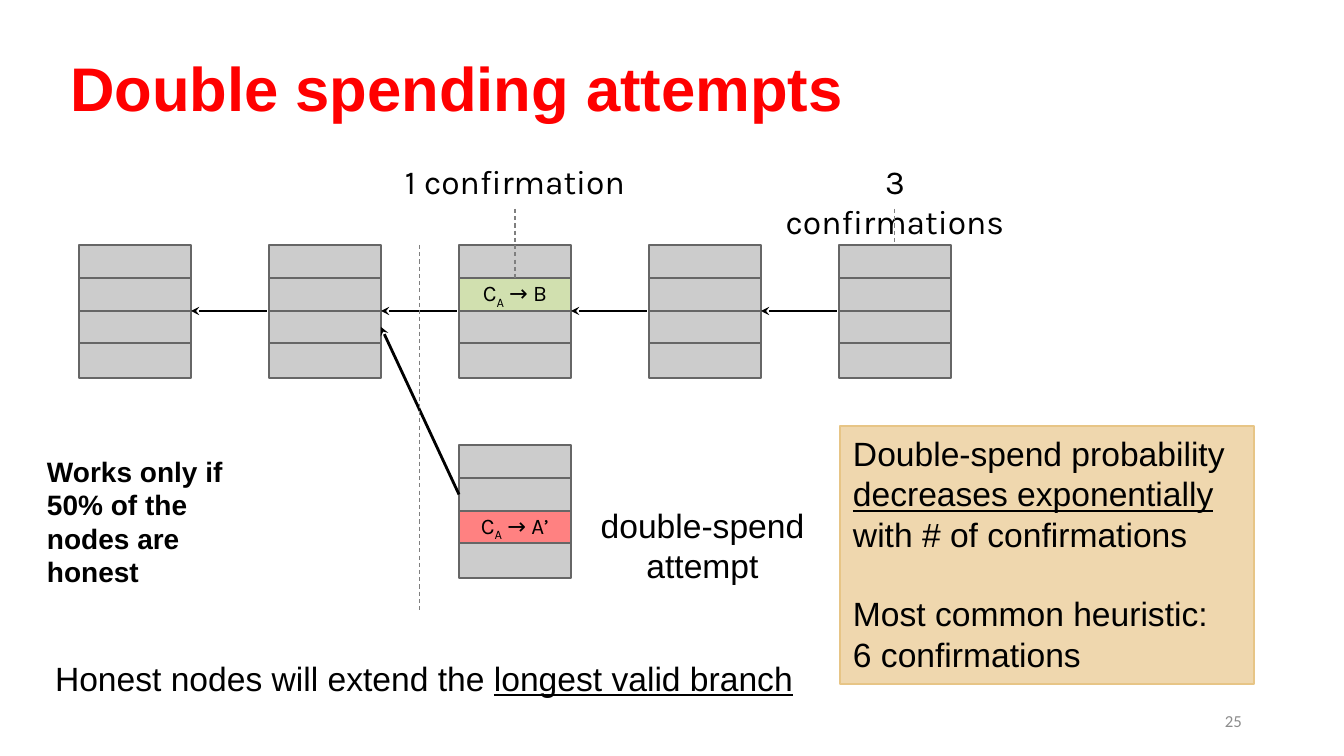
from itertools import accumulate

from lxml.etree import SubElement
from pptx import Presentation
from pptx.dml.color import RGBColor
from pptx.enum.dml import MSO_LINE
from pptx.enum.shapes import MSO_CONNECTOR, MSO_SHAPE
from pptx.enum.text import MSO_ANCHOR as Anchor, PP_ALIGN as Align
from pptx.oxml.ns import qn
from pptx.util import Pt

PX = 9071.43  # EMU per px, 100.8 px to the inch

COLORS = {
    "title": "FF0000", "text": "000000", "number": "8C8C8C",
    "cell": "CCCCCC", "cell_line": "666666", "spent": "D1E0AF", "attack": "FF8181",
    "panel": "EFD7AE", "panel_line": "E7C586", "arrow": "000000", "guide": "7F7F7F",
}

# Content: a paragraph is a list of (text, style) spans
TITLE = [[("Double spending attempts", "")]]
TO_B = [[("C", ""), ("A", "sub"), (" → B", "")]]
TO_A = [[("C", ""), ("A", "sub"), (" → A’", "")]]
ONE = [[("1 confirmation", "")]]
THREE = [[("3 confirmations", "")]]
ATTEMPT = [[("double-spend\nattempt", "")]]
PANEL = [
    [("Double-spend probability ", ""), ("decreases exponentially", "underline"),
     (" with # of confirmations", "")],
    [("Most common heuristic:\n6 confirmations", "")],
]
BRANCH = [[("Honest nodes will extend the ", ""), ("longest valid branch", "underline")]]
HONEST = [[("Works only if 50% of the nodes are honest", "")]]
NUMBER = [[("25", "")]]

# Block layout
CHAIN_LEFT, CHAIN_TOP, CHAIN_PITCH, CHAIN_COUNT = 79, 245, 190, 5
BLOCK_WIDTH, ROW_HEIGHTS = 112, (33, 33, 32, 35)
FORK_TOP = 445
LABEL_TOP, LABEL_HEIGHT = 154, 55


def emu(*lengths):
    return [round(length * PX) for length in lengths]


def color(name):
    return RGBColor.from_string(COLORS[name])


def write(shape, paragraphs, size=24, font="Arial", fill="text", bold=False,
          align=Align.LEFT, anchor=Anchor.TOP, inset=(13, 7), gap=0, spacing=None):
    frame = shape.text_frame
    frame.word_wrap = True
    frame.vertical_anchor = anchor
    frame.margin_left = frame.margin_right = emu(inset[0])[0]
    frame.margin_top = frame.margin_bottom = emu(inset[1])[0]
    for index, spans in enumerate(paragraphs):
        para = frame.add_paragraph() if index else frame.paragraphs[0]
        para.alignment = align
        para.space_before = Pt(gap if index else 0)
        if spacing:
            para.line_spacing = spacing
        for text, style in spans:
            for number, line in enumerate(text.split("\n")):
                if number:
                    para.add_line_break()
                span = para.add_run()
                span.text = line
                span.font.name, span.font.size, span.font.bold = font, Pt(size), bold
                span.font.color.rgb = color(fill)
                if style == "underline":
                    span.font.underline = True
                if style == "sub":
                    span._r.get_or_add_rPr().set("baseline", "-25000")


def add_text(page, bounds, paragraphs, **options):
    box = page.shapes.add_textbox(*emu(*bounds))
    write(box, paragraphs, **options)
    return box


def add_rect(shapes, bounds, fill, line):
    rect = shapes.add_shape(MSO_SHAPE.RECTANGLE, *emu(*bounds))
    rect.shadow.inherit = False
    rect.fill.solid()
    rect.fill.fore_color.rgb = color(fill)
    rect.line.color.rgb = color(line)
    rect.line.width = Pt(1.5)
    return rect


def add_block(page, left, top, marks=None):
    """Stack four cells; marks maps a row to its fill and text."""
    marks = marks or {}
    group = page.shapes.add_group_shape()
    offsets = accumulate(ROW_HEIGHTS, initial=0)
    cells = []
    for row, (offset, height) in enumerate(zip(offsets, ROW_HEIGHTS)):
        fill, paragraphs = marks.get(row, ("cell", None))
        cell = add_rect(group.shapes, (left, top + offset, BLOCK_WIDTH, height),
                        fill, "cell_line")
        if paragraphs:
            write(cell, paragraphs, size=16, font="Karla", align=Align.CENTER,
                  anchor=Anchor.MIDDLE, inset=(13, 13))
        cells.append(cell)
    return cells


def add_line(page, ends=(0, 0, 0, 0), start=None, stop=None, arrow=False):
    """Draw an arrow or a dashed guide; start and stop are (shape, site)."""
    line = page.shapes.add_connector(MSO_CONNECTOR.STRAIGHT, *emu(*ends))
    if start:
        line.begin_connect(*start)
    if stop:
        line.end_connect(*stop)
    line.line.color.rgb = color("arrow" if arrow else "guide")
    line.line.width = Pt(2 if arrow else 0.75)
    if arrow:
        SubElement(line.line._get_or_add_ln(), qn("a:tailEnd"), type="stealth")
    else:
        line.line.dash_style = MSO_LINE.DASH
    SubElement(line._element.spPr, qn("a:effectLst"))


def main():
    deck = Presentation()
    deck.slide_width, deck.slide_height = emu(1344, 756)
    page = deck.slides.add_slide(deck.slide_layouts[5])

    # Title
    title = page.shapes.title
    title.left, title.top, title.width, title.height = emu(60, 19, 1159, 146)
    write(title, TITLE, size=44, fill="title", bold=True, anchor=Anchor.MIDDLE,
          inset=(10, 5), spacing=0.9)

    # Main chain and fork
    lefts = [CHAIN_LEFT + CHAIN_PITCH * i for i in range(CHAIN_COUNT)]
    chain = [add_block(page, left, CHAIN_TOP, {1: ("spent", TO_B)} if i == 2 else None)
             for i, left in enumerate(lefts)]
    fork = add_block(page, lefts[2], FORK_TOP, {2: ("attack", TO_A)})

    # Arrows back to the previous block
    middle = CHAIN_TOP + sum(ROW_HEIGHTS[:2])
    for before, after in zip(lefts, lefts[1:]):
        add_line(page, (after - 2, middle, before + BLOCK_WIDTH, middle), arrow=True)
    add_line(page, start=(fork[1], 1), stop=(chain[1][2], 3), arrow=True)

    # Confirmation labels and dashed guides
    add_line(page, (420, CHAIN_TOP, 420, 613))
    for paragraphs, width, block, row in ((ONE, 250, 2, 1), (THREE, 264, 4, 0)):
        left = lefts[block] + (BLOCK_WIDTH - width) / 2
        label = add_text(page, (left, LABEL_TOP, width, LABEL_HEIGHT), paragraphs,
                         font="Karla", align=Align.CENTER)
        add_line(page, start=(label, 2), stop=(chain[block][row], 0))

    # Remarks
    add_text(page, (586, 498, 233, 95), ATTEMPT, align=Align.CENTER)
    panel = add_rect(page.shapes, (840, 426, 414, 258), "panel", "panel_line")
    write(panel, PANEL, gap=28)
    add_text(page, (42, 651, 787, 54), BRANCH)
    add_text(page, (37, 449, 246, 146), HONEST, size=20, bold=True, inset=(10, 5))
    add_text(page, (950, 701, 302, 40), NUMBER, size=12, font="Calibri", fill="number",
             align=Align.RIGHT, anchor=Anchor.MIDDLE, inset=(10, 5))

    deck.save("out.pptx")


if __name__ == "__main__":
    main()
